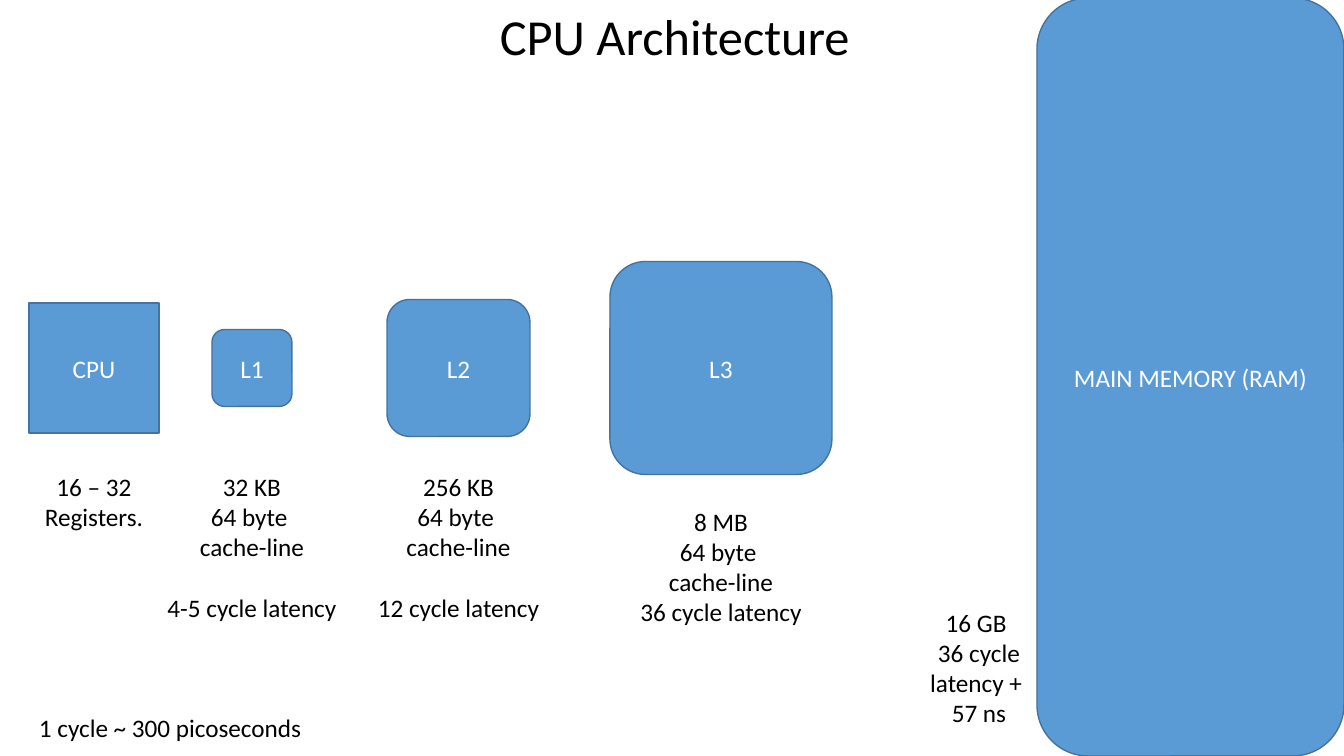
from pptx import Presentation
from pptx.dml.color import RGBColor
from pptx.enum.shapes import MSO_SHAPE
from pptx.enum.text import MSO_ANCHOR, MSO_AUTO_SIZE, PP_ALIGN
from pptx.util import Pt

RECT, ROUND = MSO_SHAPE.RECTANGLE, MSO_SHAPE.ROUNDED_RECTANGLE
LEFT, CENTER = PP_ALIGN.LEFT, PP_ALIGN.CENTER
MIDDLE, TOP = MSO_ANCHOR.MIDDLE, MSO_ANCHOR.TOP
GROW = MSO_AUTO_SIZE.SHAPE_TO_FIT_TEXT

PX = 914400 / 100.8
COLORS = {"block": "5B9BD5", "edge": "43739E", "ink": "000000", "white": "FFFFFF"}
MID = 368  # shared centre line of the CPU and its caches
GAP = 22   # points of space that set a latency line apart


def px(n):
    return round(n * PX)


def color(name):
    return RGBColor.from_string(COLORS[name])


class Deck:
    font = "Calibri"

    def __init__(self, wide, high):
        self.prs = Presentation()
        self.prs.slide_width, self.prs.slide_height = px(wide), px(high)
        self.slide = self.prs.slides.add_slide(self.prs.slide_layouts[6])

    def fill_text(self, frame, lines, ink, align, size=18, gap=0, **form):
        for key, val in form.items():
            setattr(frame, key, val)
        for i, line in enumerate(lines):
            para = frame.paragraphs[0] if i == 0 else frame.add_paragraph()
            para.alignment = align
            run = para.add_run()
            run.text = line
            style = {"name": self.font, "size": Pt(size)}
            for key, val in style.items():
                setattr(run.font, key, val)
            run.font.color.rgb = color(ink)
        if gap:
            para.space_before = Pt(gap)

    def block(self, kind, label, *box):
        shape = self.slide.shapes.add_shape(kind, *map(px, box))
        shape.shadow.inherit = False
        shape.fill.solid()
        shape.fill.fore_color.rgb = color("block")
        shape.line.color.rgb = color("edge")
        shape.line.width = Pt(1)
        self.fill_text(shape.text_frame, [label], "white", CENTER,
                       vertical_anchor=MIDDLE, word_wrap=True)

    def text(self, lines, *box, align=CENTER, size=18, gap=0, wrap=False):
        frame = self.slide.shapes.add_textbox(*map(px, box)).text_frame
        self.fill_text(frame, lines, "ink", align, size, gap,
                       vertical_anchor=TOP, word_wrap=wrap, auto_size=GROW)


def main():
    deck = Deck(1344, 756)

    # Title
    deck.text(["CPU Architecture"], 490, 0, 374, 72, align=LEFT, size=36)

    # CPU and caches, each with a note centred below:
    # kind, label, left, width, height, note top, note width, note height, gap, note
    line = ["64 byte ", "cache-line"]
    parts = [
        (RECT, "CPU", 29, 130, 130, 466, 120, 72, 0, ["16 – 32", "Registers."]),
        (ROUND, "L1", 212, 80, 77, 466, 192, 163, GAP,
         ["32 KB", *line, "4-5 cycle latency"]),
        (ROUND, "L2", 387, 143, 137, 466, 183, 163, GAP,
         ["256 KB", *line, "12 cycle latency"]),
        (ROUND, "L3", 610, 222, 213, 501, 183, 132, 0,
         ["8 MB", *line, "36 cycle latency"]),
    ]
    for kind, label, left, wide, high, top, span, tall, gap, note in parts:
        deck.block(kind, label, left, MID - high / 2, wide, high)
        deck.text(note, left + (wide - span) / 2, top, span, tall, gap=gap)

    # Main memory
    deck.block(ROUND, "MAIN MEMORY (RAM)", 1037, -2, 307, 758)
    deck.text(["16 GB ", "36 cycle latency + ", "57 ns"],
              904, 602, 150, 132, wrap=True)

    # Cycle time
    deck.text(["1 cycle ~ 300 picoseconds"], 29, 707, 286, 40, align=LEFT)

    deck.prs.save("out.pptx")


if __name__ == "__main__":
    main()
